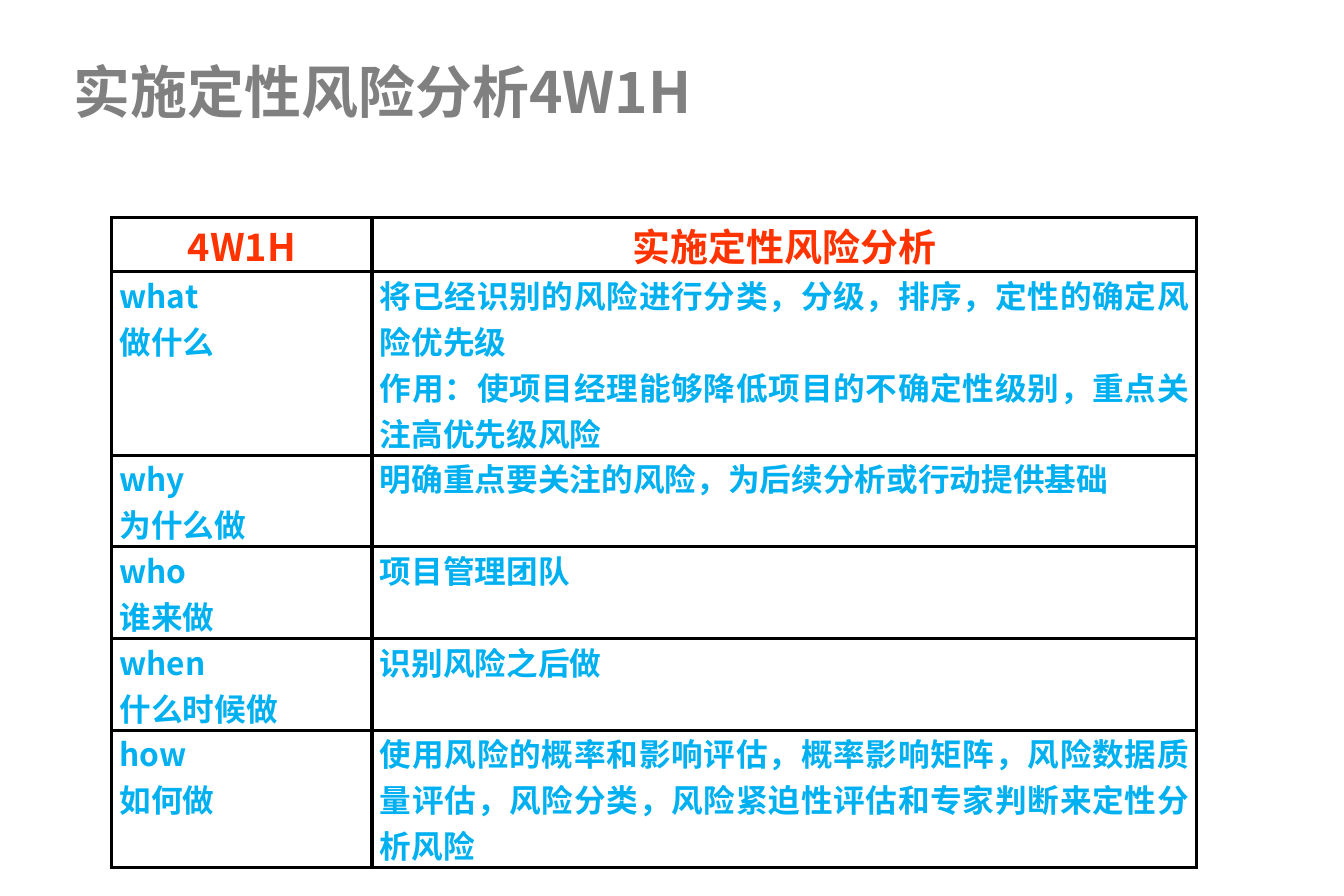
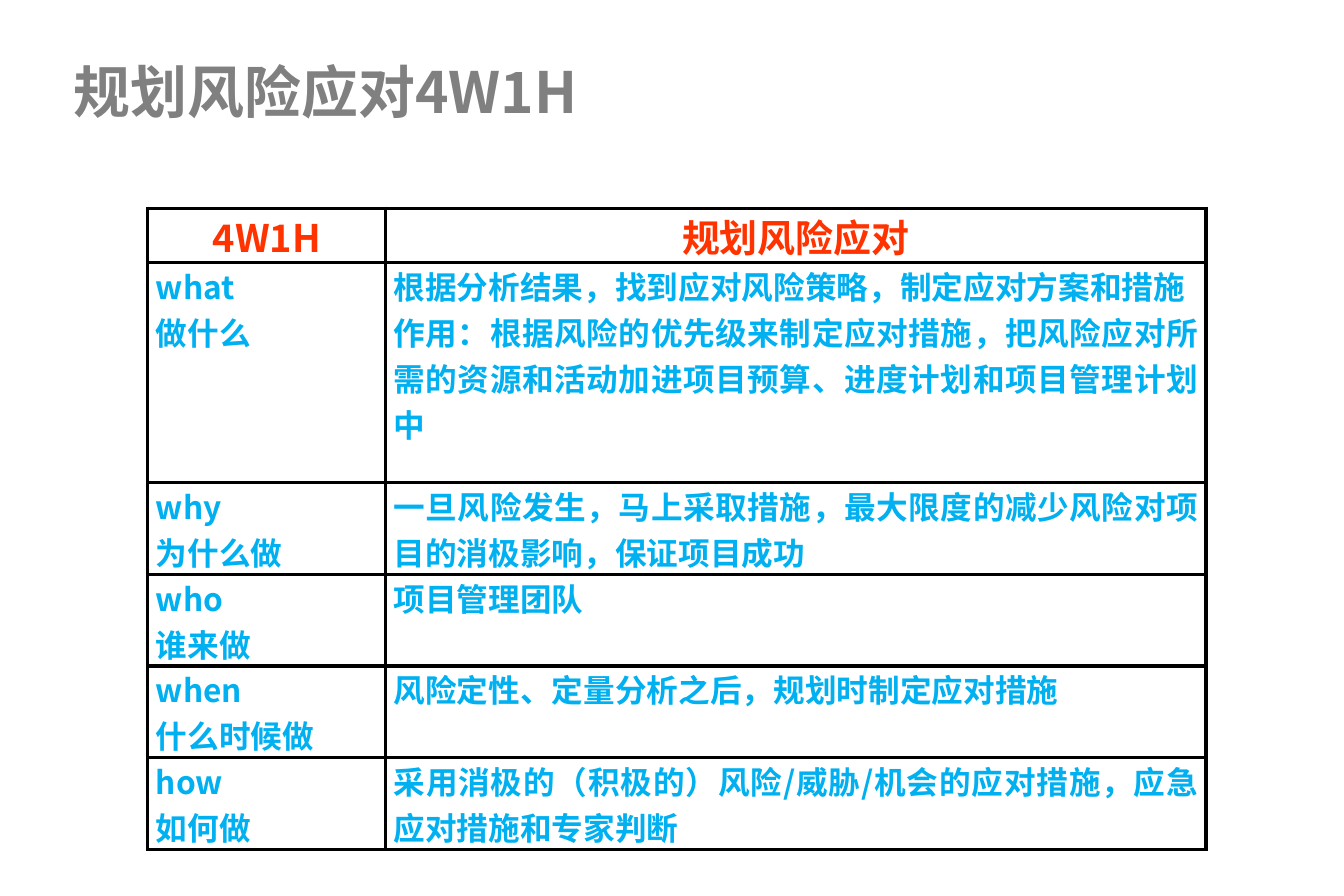
"""Build two slides that sum up risk processes as 4W1H tables."""
from dataclasses import dataclass

import lxml.etree
import pptx
import pptx.dml.color
import pptx.enum.text
import pptx.oxml.ns
import pptx.util

Inches = pptx.util.Inches
Pt = pptx.util.Pt
Align = pptx.enum.text.PP_ALIGN
Anchor = pptx.enum.text.MSO_ANCHOR
RGBColor = pptx.dml.color.RGBColor

FONT = "Noto Sans CJK SC"
GREY = RGBColor(0x80, 0x80, 0x80)
RED = RGBColor(0xFF, 0x33, 0x00)
BLUE = RGBColor(0x00, 0xB0, 0xF0)
WHITE = RGBColor(0xFF, 0xFF, 0xFF)
BLACK = RGBColor(0x00, 0x00, 0x00)

SLIDE_WIDTH, SLIDE_HEIGHT = Pt(850.5), Pt(567)
HEADING_HEIGHT = Inches(0.48)
LINE_HEIGHT = Pt(29)
BORDER_WIDTH = Pt(2.25)
QUESTIONS = (
    ("what", "做什么"),
    ("why", "为什么做"),
    ("who", "谁来做"),
    ("when", "什么时候做"),
    ("how", "如何做"),
)


@dataclass(frozen=True)
class TextStyle:
    size: int
    color: RGBColor
    align: Align


TITLE = TextStyle(36, GREY, Align.LEFT)
HEADING = TextStyle(24, RED, Align.CENTER)
BODY = TextStyle(20, BLUE, Align.JUSTIFY)


@dataclass(frozen=True)
class Process:
    name: str
    left: float
    top: float
    columns: tuple[float, float]
    answer_lines: tuple[float, ...]
    answers: tuple[tuple[str, ...], ...]


PROCESSES = (
    Process(
        "实施定性风险分析", 0.98, 1.91, (2.29, 7.25), (4, 2, 2, 2, 3),
        (
            ("将已经识别的风险进行分类，分级，排序，定性的确定风险优先级",
             "作用：使项目经理能够降低项目的不确定性级别，重点关注高优先级风险"),
            ("明确重点要关注的风险，为后续分析或行动提供基础",),
            ("项目管理团队",),
            ("识别风险之后做",),
            ("使用风险的概率和影响评估，概率影响矩阵，风险数据质量评估，"
             "风险分类，风险紧迫性评估和专家判断来定性分析风险",),
        ),
    ),
    Process(
        "规划风险应对", 1.3, 1.83, (2.09, 7.21), (4.8, 2, 2, 2, 2),
        (
            ("根据分析结果，找到应对风险策略，制定应对方案和措施",
             "作用：根据风险的优先级来制定应对措施，"
             "把风险应对所需的资源和活动加进项目预算、进度计划和项目管理计划中"),
            ("一旦风险发生，马上采取措施，最大限度的减少风险对项目的消极影响，保证项目成功",),
            ("项目管理团队",),
            ("风险定性、定量分析之后，规划时制定应对措施",),
            ("采用消极的（积极的）风险/威胁/机会的应对措施，应急应对措施和专家判断",),
        ),
    ),
)


def add_child(parent, tag: str, **attributes: str):
    return lxml.etree.SubElement(parent, pptx.oxml.ns.qn(tag), attributes)


def write(frame, lines: tuple[str, ...], style: TextStyle) -> None:
    for index, line in enumerate(lines):
        paragraph = frame.add_paragraph() if index else frame.paragraphs[0]
        paragraph.alignment = style.align
        run = paragraph.add_run()
        run.text = line
        run.font.size = Pt(style.size)
        run.font.bold = True
        run.font.color.rgb = style.color
        run.font.name = FONT
        add_child(run.font._element, "a:ea", typeface=FONT)


def add_title(slide, title: str) -> None:
    box = slide.shapes.add_textbox(Inches(0.54), Inches(0.49), Inches(10.63), Inches(0.62))
    frame = box.text_frame
    frame.word_wrap = True
    frame.vertical_anchor = Anchor.MIDDLE
    frame.margin_left = frame.margin_right = Inches(0.11)
    frame.margin_top = frame.margin_bottom = Inches(0.06)
    write(frame, (title,), TITLE)


def fill_cell(cell, lines: tuple[str, ...], style: TextStyle) -> None:
    cell.margin_left = cell.margin_right = Inches(0.07)
    cell.margin_top = cell.margin_bottom = 0
    properties = cell._tc.get_or_add_tcPr()
    for side in ("a:lnL", "a:lnR", "a:lnT", "a:lnB"):
        border = add_child(properties, side, w=str(BORDER_WIDTH))
        add_child(add_child(border, "a:solidFill"), "a:srgbClr", val=str(BLACK))
    cell.fill.solid()
    cell.fill.fore_color.rgb = WHITE
    write(cell.text_frame, lines, style)


def add_process_table(slide, process: Process) -> None:
    heights = [HEADING_HEIGHT, *(int(LINE_HEIGHT * count) for count in process.answer_lines)]
    table = slide.shapes.add_table(
        len(heights), len(process.columns), Inches(process.left), Inches(process.top),
        Inches(sum(process.columns)), sum(heights),
    ).table
    table.first_row = table.horz_banding = False
    for column, width in zip(table.columns, process.columns):
        column.width = Inches(width)
    contents = [(("4W1H",), (process.name,)), *zip(QUESTIONS, process.answers)]
    for index, (row, height, texts) in enumerate(zip(table.rows, heights, contents)):
        row.height = height
        for cell, lines in zip(row.cells, texts):
            fill_cell(cell, lines, BODY if index else HEADING)


def main() -> None:
    deck = pptx.Presentation()
    deck.slide_width = SLIDE_WIDTH
    deck.slide_height = SLIDE_HEIGHT
    for process in PROCESSES:
        slide = deck.slides.add_slide(deck.slide_layouts[6])
        add_title(slide, f"{process.name}4W1H")
        add_process_table(slide, process)
    deck.save("out.pptx")


if __name__ == "__main__":
    main()
